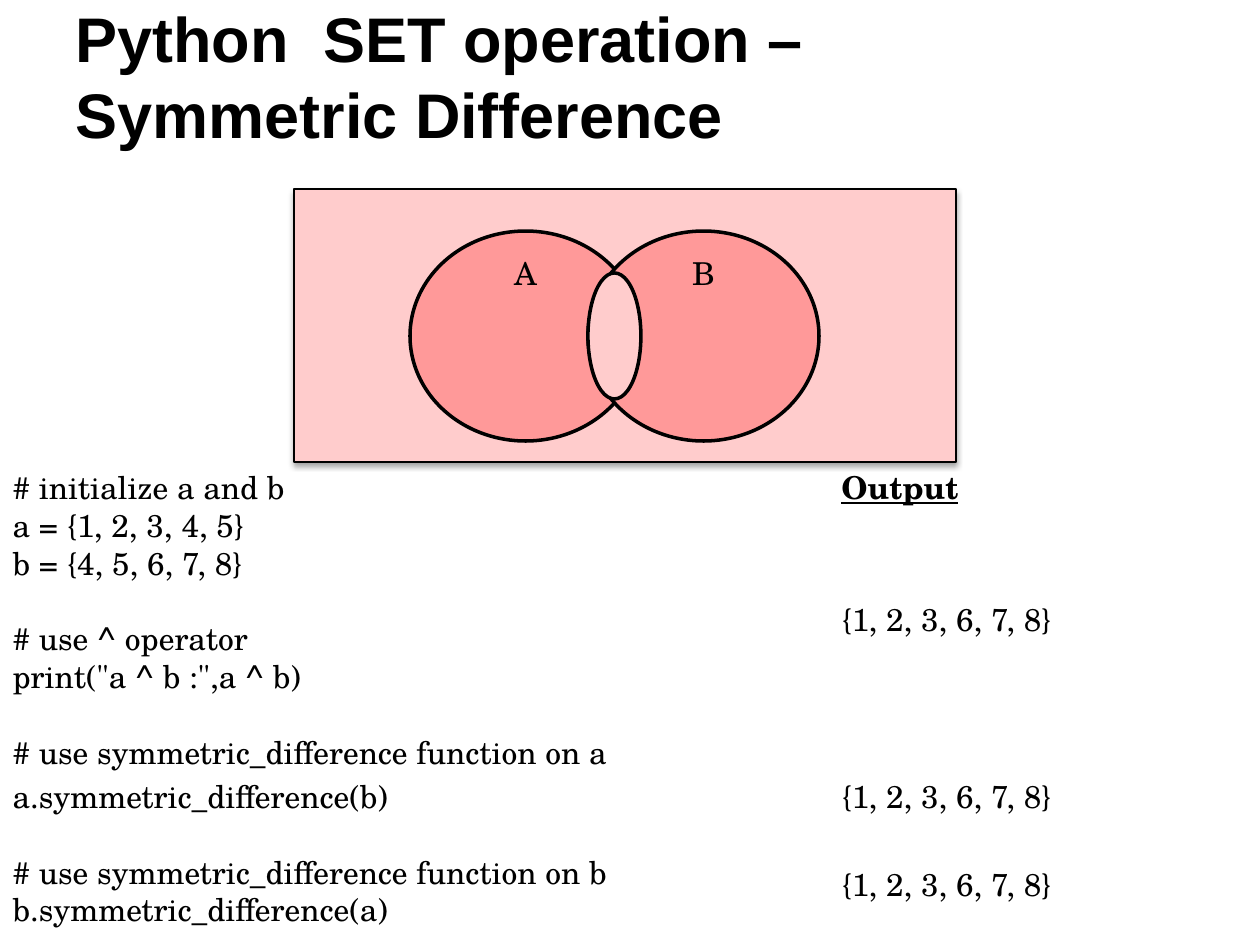
from dataclasses import dataclass

from pptx import Presentation
from pptx.dml.color import RGBColor
from pptx.enum.shapes import MSO_SHAPE
from pptx.enum.text import MSO_ANCHOR, MSO_AUTO_SIZE, PP_ALIGN
from pptx.oxml import parse_xml
from pptx.oxml.ns import nsdecls, qn
from pptx.util import Emu, Pt

RECTANGLE = MSO_SHAPE.RECTANGLE
CIRCLE = MSO_SHAPE.FLOWCHART_CONNECTOR
OVAL = MSO_SHAPE.OVAL
TOP, MIDDLE, BOTTOM = MSO_ANCHOR.TOP, MSO_ANCHOR.MIDDLE, MSO_ANCHOR.BOTTOM
LEFT, CENTER = PP_ALIGN.LEFT, PP_ALIGN.CENTER
NO_AUTOFIT = MSO_AUTO_SIZE.NONE

EMU_PER_PX = 914400 / 126
TITLE_AND_CONTENT = 1


@dataclass(frozen=True)
class Theme:
    ink: str = "000000"
    universe: str = "FFCCCC"
    circle: str = "FF9999"
    title_font: str = "Arial"
    text_font: str = "TeX Gyre Schola"
    title_size: float = 36
    title_line: float = 43.2
    text_size: float = 18
    text_line: float = 21.6
    paragraph_gap: float = 3.6
    thin_line: float = 0.75
    thick_line: float = 2


THEME = Theme()

# Each entry: text, space before in points
CODE = [
    ("# initialize a and b", 0),
    ("a = {1, 2, 3, 4, 5}", 0),
    ("b = {4, 5, 6, 7, 8}", 0),
    ("# use ^ operator", THEME.text_line),
    ('print("a ^ b :",a ^ b)', 0),
    ("# use symmetric_difference function on a", THEME.text_line),
    ("a.symmetric_difference(b)", THEME.paragraph_gap),
    ("# use symmetric_difference function on b", THEME.text_line),
    ("b.symmetric_difference(a)", 0),
]
RESULT = "{1, 2, 3, 6, 7, 8}"
RESULT_ROWS_SKIPPED = [2, 3, 1]


def px(value):
    return Emu(round(value * EMU_PER_PX))


def place(shape, box):
    shape.left, shape.top, shape.width, shape.height = map(px, box)


def prepare_frame(shape, anchor=TOP):
    frame = shape.text_frame
    frame.word_wrap = True
    frame.auto_size = NO_AUTOFIT
    frame.vertical_anchor = anchor
    return frame


def write(frame, text, *, font=THEME.text_font, size=THEME.text_size,
          bold=False, underline=False, align=LEFT, before=0, line=None):
    """Write one paragraph, using the frame's first one while it is empty."""
    paragraph = frame.paragraphs[0]
    if paragraph.runs:
        paragraph = frame.add_paragraph()
    paragraph.alignment = align
    paragraph.space_before = Pt(before)
    if line:
        paragraph.line_spacing = Pt(line)
    run = paragraph.add_run()
    run.text = text
    run.font.name = font
    run.font.size = Pt(size)
    run.font.bold = bold
    run.font.underline = underline
    run.font.color.rgb = RGBColor.from_string(THEME.ink)
    return paragraph


def remove_bullet(paragraph):
    properties = paragraph._p.get_or_add_pPr()
    properties.set("marL", "0")
    properties.set("indent", "0")
    properties.append(parse_xml(f"<a:buNone {nsdecls('a')}/>"))


def add_shadow(shape):
    effects = shape._element.spPr.find(qn("a:effectLst"))
    effects.append(parse_xml(
        f'<a:outerShdw {nsdecls("a")} blurRad="{Pt(3.1)}" dist="{Pt(1.8)}" '
        f'dir="5400000" rotWithShape="0"><a:srgbClr val="{THEME.ink}">'
        '<a:alpha val="35000"/></a:srgbClr></a:outerShdw>'))


def add_outlined(slide, kind, box, fill, line_width):
    shape = slide.shapes.add_shape(kind, *map(px, box))
    shape.shadow.inherit = False
    shape.fill.solid()
    shape.fill.fore_color.rgb = RGBColor.from_string(fill)
    shape.line.color.rgb = RGBColor.from_string(THEME.ink)
    shape.line.width = Pt(line_width)
    return shape


def add_text_box(slide, box, anchor=TOP):
    return prepare_frame(slide.shapes.add_textbox(*map(px, box)), anchor)


def fill_title(slide, box):
    place(slide.shapes.title, box)
    frame = prepare_frame(slide.shapes.title, BOTTOM)
    write(frame, "Python  SET operation – Symmetric Difference",
          font=THEME.title_font, size=THEME.title_size, bold=True,
          line=THEME.title_line)


def fill_code(slide, box):
    body = slide.placeholders[1]
    place(body, box)
    frame = prepare_frame(body)
    for text, before in CODE:
        remove_bullet(write(frame, text, before=before))


def add_output(slide, box):
    frame = add_text_box(slide, box)
    write(frame, "Output", bold=True, underline=True)
    row = THEME.text_line + THEME.paragraph_gap
    for skipped in RESULT_ROWS_SKIPPED:
        write(frame, RESULT, before=skipped * row + THEME.paragraph_gap)


def add_venn_diagram(slide, box):
    left, top, _, _ = box
    width, height = 231, 210
    circle_top = top + 42
    circle_lefts = {"A": left + 116, "B": left + 294}

    # Universe and the two sets
    add_shadow(add_outlined(slide, RECTANGLE, box, THEME.universe,
                            THEME.thin_line))
    for circle_left in circle_lefts.values():
        add_outlined(slide, CIRCLE, (circle_left, circle_top, width, height),
                     THEME.circle, THEME.thick_line)

    # Set names, centred over their circles
    label_width, label_height = 63, 42
    for name, circle_left in circle_lefts.items():
        label_left = circle_left + (width - label_width) // 2
        frame = add_text_box(
            slide, (label_left, circle_top + 21, label_width, label_height),
            MIDDLE)
        write(frame, name, align=CENTER)

    # Excluded intersection, as wide as the overlap
    overlap = circle_lefts["A"] + width - circle_lefts["B"]
    add_outlined(slide, OVAL,
                 (circle_lefts["B"], circle_top + 42, overlap, 126),
                 THEME.universe, THEME.thick_line)


def main():
    presentation = Presentation()
    presentation.slide_width, presentation.slide_height = px(1260), px(945)
    layout = presentation.slide_layouts[TITLE_AND_CONTENT]
    slide = presentation.slides.add_slide(layout)

    fill_title(slide, (63, 10, 935, 147))
    fill_code(slide, (0, 462, 819, 483))
    add_output(slide, (829, 462, 326, 472))
    add_venn_diagram(slide, (294, 189, 662, 273))

    presentation.save("out.pptx")


if __name__ == "__main__":
    main()
